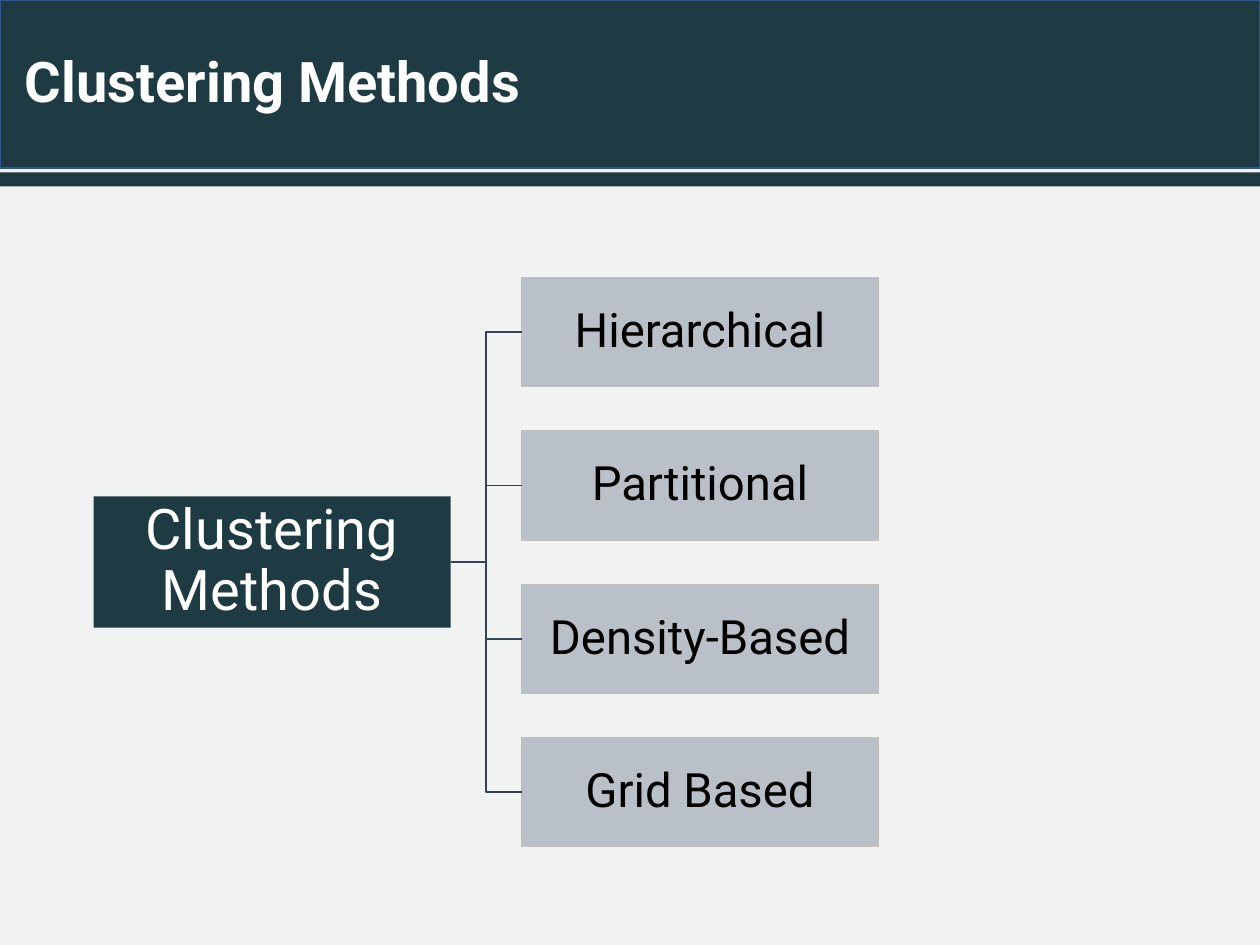
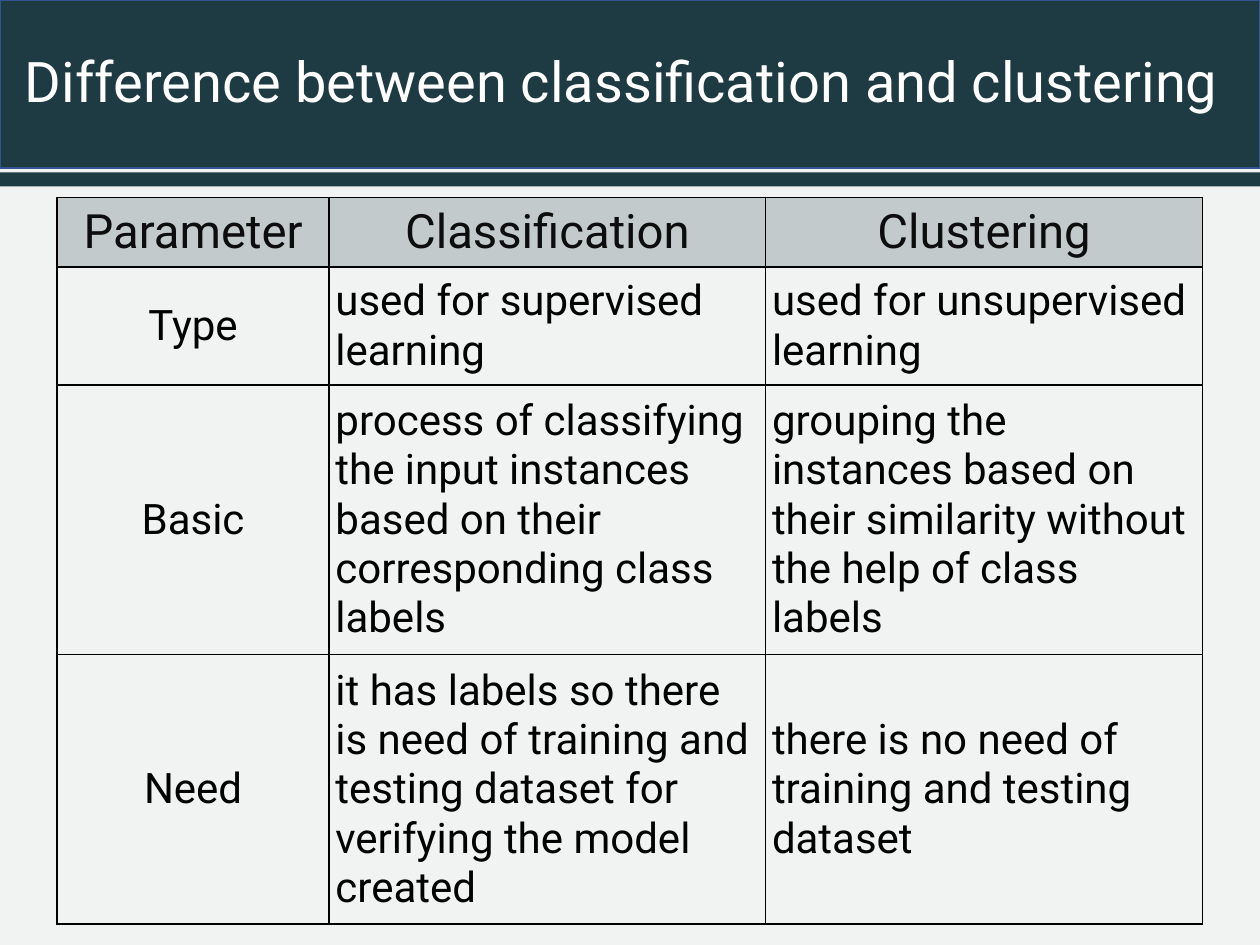
from dataclasses import dataclass

from lxml import etree
from pptx import Presentation
from pptx import util as u
from pptx.dml import color
from pptx.enum import shapes, text
from pptx.oxml import ns

COLOURS = {
    "paper": "F1F3F3",
    "teal": "1E3A42",
    "band_edge": "325491",
    "node": "BAC0C7",
    "node_edge": "BFBFBF",
    "branch": "364355",
    "header": "C3CACC",
    "header_text": "0D0D0D",
    "white": "FFFFFF",
    "black": "000000",
}
FONT = "Roboto"
PAGE_WIDTH, PAGE_HEIGHT = 720, 540
BAND_HEIGHT = 96
CENTRE = text.PP_ALIGN.CENTER
LEFT = text.PP_ALIGN.LEFT
MIDDLE = text.MSO_ANCHOR.MIDDLE


@dataclass(frozen=True)
class Area:
    left: float
    top: float
    width: float
    height: float

    def lengths(self) -> list:
        return [u.Pt(value) for value in (self.left, self.top, self.width, self.height)]


@dataclass(frozen=True)
class Style:
    size: float
    colour: str
    align: text.PP_ALIGN = LEFT
    bold: bool = False
    spacing: float = 1.0


@dataclass(frozen=True)
class Box:
    area: Area
    fill: str
    edge: str = ""
    edge_width: float = 0.75


BANDS = (
    Box(Area(0, 0, PAGE_WIDTH, BAND_HEIGHT), "teal", "band_edge", 1),
    Box(Area(0, 98.5, PAGE_WIDTH, 8), "teal"),
)
TITLE_AREA = Area(7.2, 0, 712.8, BAND_HEIGHT)

ROOT_STYLE = Style(32, "white", CENTRE, spacing=0.9)
METHOD_STYLE = Style(27, "black", CENTRE, spacing=0.9)
METHODS = ("Hierarchical", "Partitional", "Density-Based", "Grid Based")
TREE_LEFT, TREE_MIDDLE = 53.5, 321.2
NODE_WIDTH, NODE_GAP = 204, 40.5
ROOT_HEIGHT, METHOD_HEIGHT, METHOD_PITCH = 75, 62.4, 87.6

HEADER_STYLE = Style(27, "header_text", CENTRE)
LABEL_STYLE = Style(24, "black", CENTRE)
BODY_STYLE = Style(24, "black")
COLUMN_WIDTHS = (155.5, 249.5, 249.5)
ROW_HEIGHTS = (39.4, 67, 152, 151.6)
COMPARISON = (
    ("Parameter", "Classification", "Clustering"),
    ("Type", "used for supervised learning", "used for unsupervised learning"),
    (
        "Basic",
        "process of classifying the input instances based on their corresponding class labels",
        "grouping the instances based on their similarity without the help of class labels",
    ),
    (
        "Need",
        "it has labels so there is need of training and testing dataset for verifying the model created",
        "there is no need of training and testing dataset",
    ),
)


def apply(target, values: dict) -> None:
    for name, value in values.items():
        setattr(target, name, value)


def rgb(name: str) -> color.RGBColor:
    return color.RGBColor.from_string(COLOURS[name])


def write(frame, wording: str, style: Style) -> None:
    para = frame.paragraphs[0]
    apply(para, {"alignment": style.align, "line_spacing": style.spacing})
    span = para.add_run()
    span.text = wording
    apply(span.font, {"name": FONT, "size": u.Pt(style.size), "bold": style.bold})
    span.font.color.rgb = rgb(style.colour)


def draw_box(page, box: Box):
    shape = page.shapes.add_shape(shapes.MSO_SHAPE.RECTANGLE, *box.area.lengths())
    shape.shadow.inherit = False
    shape.fill.solid()
    shape.fill.fore_color.rgb = rgb(box.fill)
    if box.edge:
        shape.line.color.rgb = rgb(box.edge)
        shape.line.width = u.Pt(box.edge_width)
    else:
        shape.line.fill.background()
    return shape


def add_page(deck, title: str, bold: bool = False):
    page = deck.slides.add_slide(deck.slide_layouts[6])
    page.background.fill.solid()
    page.background.fill.fore_color.rgb = rgb("paper")
    for band in BANDS:
        draw_box(page, band)
    frame = page.shapes.add_textbox(*TITLE_AREA.lengths()).text_frame
    apply(frame, {"word_wrap": True, "vertical_anchor": MIDDLE})
    write(frame, title, Style(32, "white", bold=bold, spacing=0.9))
    return page


def draw_node(page, box: Box, wording: str, style: Style):
    node = draw_box(page, box)
    margins = dict.fromkeys(
        ("margin_left", "margin_top", "margin_right", "margin_bottom"), u.Pt(1.5)
    )
    apply(node.text_frame, {"word_wrap": True, "vertical_anchor": MIDDLE, **margins})
    write(node.text_frame, wording, style)
    return node


def draw_branch(page, root, method) -> None:
    branch = page.shapes.add_connector(shapes.MSO_CONNECTOR.ELBOW, 0, 0, 0, 0)
    branch.begin_connect(root, 3)
    branch.end_connect(method, 1)
    branch.line.color.rgb = rgb("branch")
    branch.line.width = u.Pt(1)
    etree.SubElement(branch._element.spPr, ns.qn("a:effectLst"))


def draw_tree(page) -> None:
    root_area = Area(TREE_LEFT, TREE_MIDDLE - ROOT_HEIGHT / 2, NODE_WIDTH, ROOT_HEIGHT)
    root = draw_node(page, Box(root_area, "teal"), "Clustering Methods", ROOT_STYLE)
    method_left = TREE_LEFT + NODE_WIDTH + NODE_GAP
    first_middle = TREE_MIDDLE - METHOD_PITCH * (len(METHODS) - 1) / 2
    for index, wording in enumerate(METHODS):
        top = first_middle + index * METHOD_PITCH - METHOD_HEIGHT / 2
        area = Area(method_left, top, NODE_WIDTH, METHOD_HEIGHT)
        method = draw_node(page, Box(area, "node", "node_edge"), wording, METHOD_STYLE)
        draw_branch(page, root, method)


def add_borders(cell) -> None:
    properties = cell._tc.get_or_add_tcPr()
    for side in ("lnL", "lnR", "lnT", "lnB"):
        border = etree.SubElement(properties, ns.qn(f"a:{side}"), w=str(u.Pt(1)))
        fill = etree.SubElement(border, ns.qn("a:solidFill"))
        etree.SubElement(fill, ns.qn("a:srgbClr"), val=COLOURS["black"])


def fill_cell(cell, wording: str, is_header: bool, is_label: bool) -> None:
    side, edge = u.Pt(3.6), u.Pt(3.6 if is_header else 5)
    apply(cell, {
        "margin_left": side, "margin_right": side,
        "margin_top": edge, "margin_bottom": edge,
        "vertical_anchor": MIDDLE,
    })
    add_borders(cell)
    if is_header:
        cell.fill.solid()
        cell.fill.fore_color.rgb = rgb("header")
        style = HEADER_STYLE
    else:
        cell.fill.background()
        style = LABEL_STYLE if is_label else BODY_STYLE
    write(cell.text_frame, wording, style)


def draw_comparison(page) -> None:
    area = Area(32.6, 112.8, sum(COLUMN_WIDTHS), sum(ROW_HEIGHTS))
    table = page.shapes.add_table(
        len(ROW_HEIGHTS), len(COLUMN_WIDTHS), *area.lengths()
    ).table
    apply(table, {"first_row": False, "horz_banding": False})
    for column, width in zip(table.columns, COLUMN_WIDTHS):
        column.width = u.Pt(width)
    for row, height in zip(table.rows, ROW_HEIGHTS):
        row.height = u.Pt(height)
    for row_index, wordings in enumerate(COMPARISON):
        for column_index, wording in enumerate(wordings):
            cell = table.cell(row_index, column_index)
            fill_cell(cell, wording, row_index == 0, column_index == 0)


def main() -> None:
    deck = Presentation()
    apply(deck, {"slide_width": u.Pt(PAGE_WIDTH), "slide_height": u.Pt(PAGE_HEIGHT)})
    draw_tree(add_page(deck, "Clustering Methods", bold=True))
    draw_comparison(add_page(deck, "Difference between classification and clustering"))
    deck.save("out.pptx")


if __name__ == "__main__":
    main()
